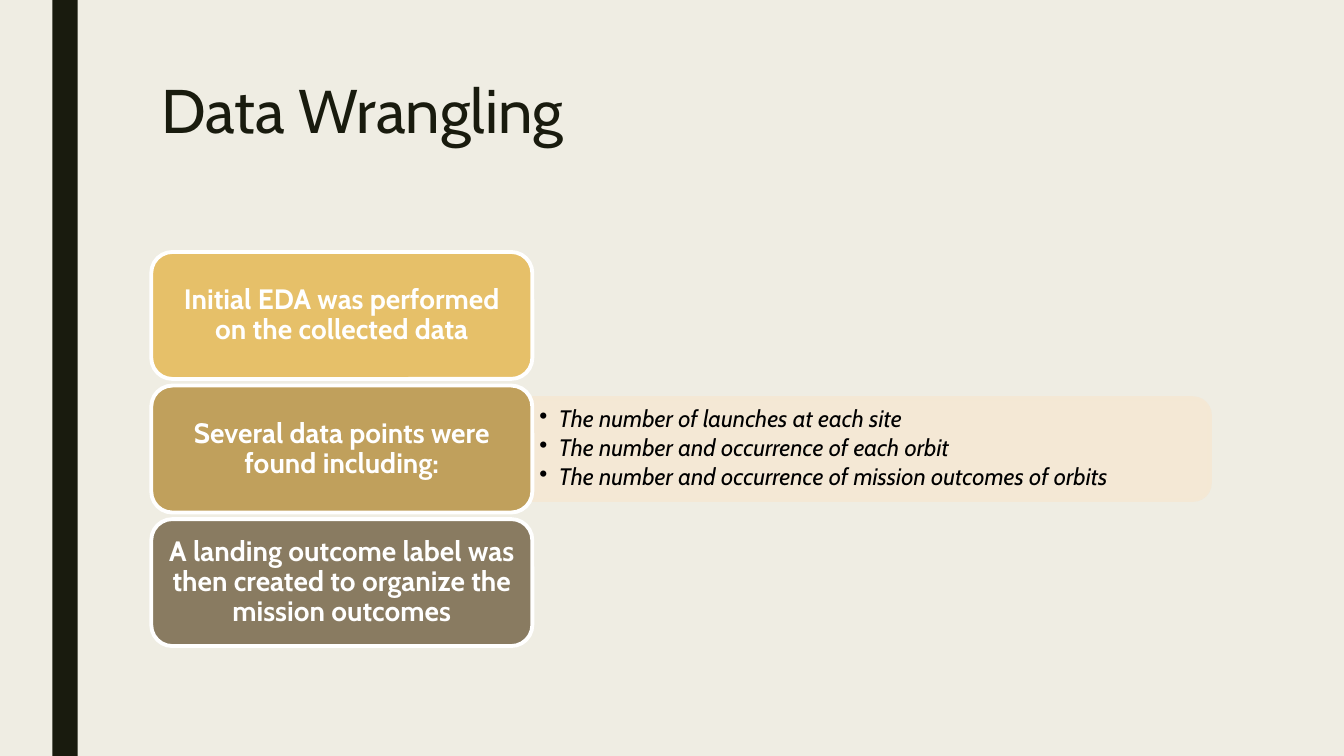
"""Build the Data Wrangling slide."""
from dataclasses import dataclass

from lxml import etree
from pptx import Presentation
from pptx.dml.color import RGBColor
from pptx.enum.shapes import MSO_SHAPE
from pptx.enum.text import MSO_ANCHOR, MSO_AUTO_SIZE, PP_ALIGN
from pptx.oxml.ns import qn
from pptx.util import Inches, Pt

RECT = MSO_SHAPE.RECTANGLE
ROUND = MSO_SHAPE.ROUNDED_RECTANGLE
ROUND_TOP = MSO_SHAPE.ROUND_2_SAME_RECTANGLE
TOP, MIDDLE = MSO_ANCHOR.TOP, MSO_ANCHOR.MIDDLE
LEFT, CENTER = PP_ALIGN.LEFT, PP_ALIGN.CENTER
NO_AUTOSIZE = MSO_AUTO_SIZE.NONE

FONT = "Cabin"
DARK = "191B0E"
PANEL = "F5E8D4"
STEP_LEFT, STEP_TOP, STEP_W, STEP_H, STEP_PITCH = 1.5, 2.5, 3.78, 1.26, 1.325


@dataclass
class Step:
    """One box of the process, with optional detail bullets."""
    text: str
    fill: str
    details: tuple[str, ...] = ()


STEPS = [
    Step("Initial EDA was performed on the collected data", "E6C069"),
    Step("Several data points were found including:", "C0A05C", (
        "The number of launches at each site",
        "The number and occurrence of each orbit",
        "The number and occurrence of mission outcomes of orbits",
    )),
    Step("A landing outcome label was then created to organize the mission outcomes", "897B61"),
]


def rgb(value: str) -> RGBColor:
    """Turn a hex string into a colour."""
    return RGBColor.from_string(value)


def add_box(s, kind, at: tuple, fill: str, line: str = ""):
    """Add a filled preset shape, outlined if a line colour is given."""
    sp = s.shapes.add_shape(kind, *map(Inches, at))
    sp.shadow.inherit = False
    sp.fill.solid()
    sp.fill.fore_color.rgb = rgb(fill)
    if line:
        sp.line.color.rgb = rgb(line)
        sp.line.width = Pt(2.75)
    else:
        sp.line.fill.background()
    return sp


def set_frame(tf, anchor, inset_x: float, inset_y: float) -> None:
    """Set wrapping, anchor and insets of a text frame."""
    tf.word_wrap = True
    tf.auto_size = NO_AUTOSIZE
    tf.vertical_anchor = anchor
    tf.margin_left = tf.margin_right = Inches(inset_x)
    tf.margin_top = tf.margin_bottom = Inches(inset_y)


def set_text(p, text: str, size: float, color: str, align=LEFT, bold=False, italic=False) -> None:
    """Write one formatted paragraph."""
    p.text = text
    p.alignment = align
    p.line_spacing = 0.9
    p.font.name = FONT
    p.font.size = Pt(size)
    p.font.bold = bold
    p.font.italic = italic
    p.font.color.rgb = rgb(color)


def set_bullet(p) -> None:
    """Give a paragraph a hanging round bullet."""
    pPr = p._p.get_or_add_pPr()
    pPr.set("marL", str(Inches(0.19)))
    pPr.set("indent", str(-Inches(0.19)))
    bullet = pPr.makeelement(qn("a:buChar"), {"char": "•"})
    pPr.find(qn("a:defRPr")).addprevious(bullet)


def add_details(s, details: tuple[str, ...], middle: float) -> None:
    """Add the panel and its bullets, centred on a height."""
    left, width, height = STEP_LEFT + STEP_W, 6.72, 1.01
    at = (left + (width - height) / 2, middle - width / 2, height, width)
    sp = add_box(s, ROUND_TOP, at, PANEL, PANEL)
    sp.rotation = 90
    for color in sp._element.spPr.iter(qn("a:srgbClr")):
        etree.SubElement(color, qn("a:alpha"), val="90000")
    text_h = 0.91
    box = s.shapes.add_textbox(*map(Inches, (left, middle - text_h / 2, 6.67, text_h)))
    tf = box.text_frame
    set_frame(tf, MIDDLE, 0.07, 0.04)
    for i, detail in enumerate(details):
        p = tf.add_paragraph() if i else tf.paragraphs[0]
        set_text(p, detail, 17, "000000", italic=True)
        p.space_after = Pt(2.5)
        set_bullet(p)


def add_step(s, step: Step, top: float) -> None:
    """Add a step box over its details."""
    if step.details:
        add_details(s, step.details, top + STEP_H / 2)
    sp = add_box(s, ROUND, (STEP_LEFT, top, STEP_W, STEP_H), step.fill, "FFFFFF")
    set_frame(sp.text_frame, MIDDLE, 0.08, 0.04)
    set_text(sp.text_frame.paragraphs[0], step.text, 20, "FFFFFF", CENTER, bold=True)


def main() -> None:
    """Build and save the slide."""
    prs = Presentation()
    prs.slide_width, prs.slide_height = Inches(13.33), Inches(7.5)
    s = prs.slides.add_slide(prs.slide_layouts[5])
    s.background.fill.solid()
    s.background.fill.fore_color.rgb = rgb("EFEDE3")
    add_box(s, RECT, (0.52, 0, 0.25, 7.5), DARK)
    title = s.shapes.title
    title.left, title.top, title.width, title.height = map(Inches, (1.5, 0.75, 10.5, 1.62))
    set_frame(title.text_frame, TOP, 0.1, 0.05)
    set_text(title.text_frame.paragraphs[0], "Data Wrangling", 44, DARK)
    for i, step in enumerate(STEPS):
        add_step(s, step, STEP_TOP + i * STEP_PITCH)
    prs.save("out.pptx")


if __name__ == "__main__":
    main()
